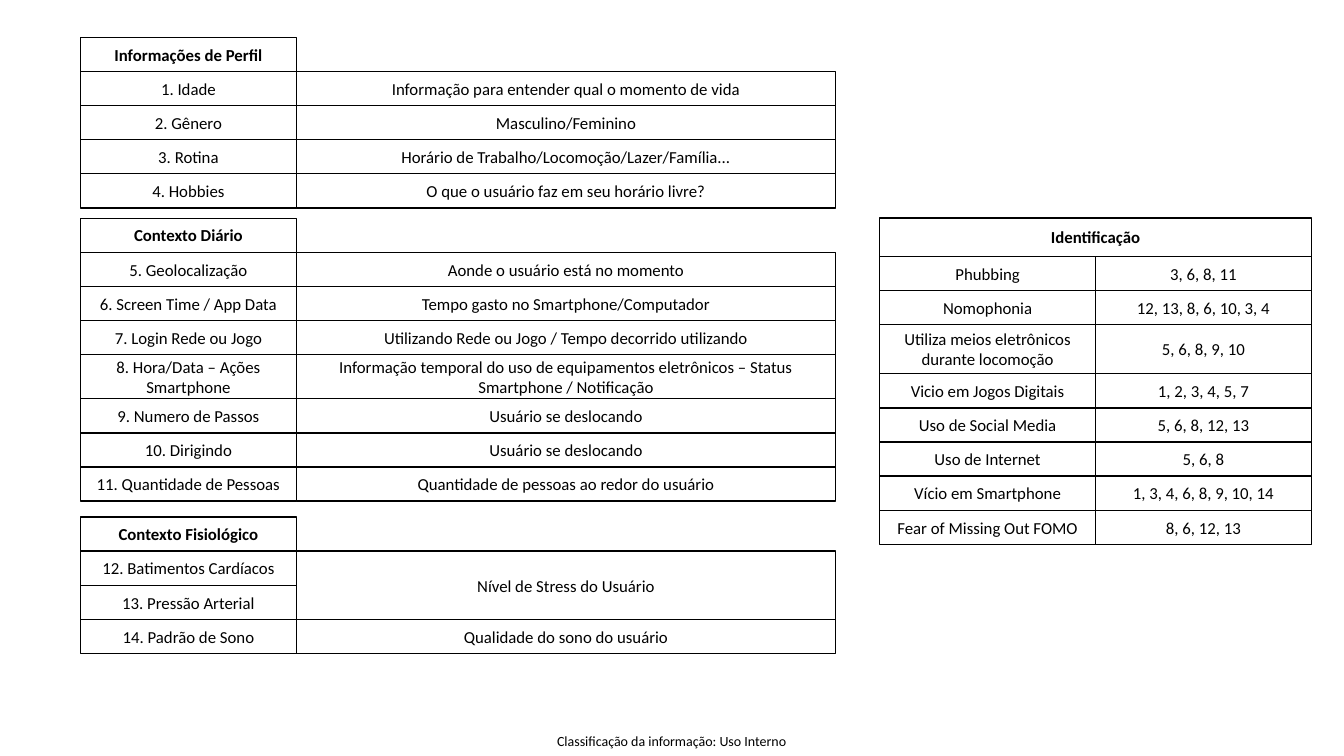
"""Builds the slide that maps user data and contexts to digital habits."""
from dataclasses import dataclass

from pptx import Presentation
from pptx.dml.color import RGBColor
from pptx.enum.shapes import MSO_SHAPE
from pptx.enum.text import MSO_ANCHOR, PP_ALIGN
from pptx.util import Cm, Pt

RECTANGLE = MSO_SHAPE.RECTANGLE
MIDDLE = MSO_ANCHOR.MIDDLE
CENTER = PP_ALIGN.CENTER

COLORS = {"ink": "000000"}
FONT = "Calibri"
ROW_HEIGHT = 0.86
LABEL_WIDTH = 5.44


@dataclass
class Row:
    label: str
    detail: str = ""
    height: float = ROW_HEIGHT
    detail_span: int = 1


@dataclass
class Section:
    title: str
    left: float
    top: float
    rows: list[Row]
    detail_width: float = 13.59
    title_width: float = LABEL_WIDTH
    title_height: float = ROW_HEIGHT


SECTIONS = [
    Section("Informações de Perfil", 2.03, 0.94, [
        Row("1. Idade", "Informação para entender qual o momento de vida"),
        Row("2. Gênero", "Masculino/Feminino"),
        Row("3. Rotina", "Horário de Trabalho/Locomoção/Lazer/Família..."),
        Row("4. Hobbies", "O que o usuário faz em seu horário livre?"),
    ]),
    Section("Contexto Diário", 2.03, 5.5, [
        Row("5. Geolocalização", "Aonde o usuário está no momento"),
        Row("6. Screen Time / App Data", "Tempo gasto no Smartphone/Computador"),
        Row("7. Login Rede ou Jogo", "Utilizando Rede ou Jogo / Tempo decorrido utilizando"),
        Row("8. Hora/Data – Ações Smartphone",
            "Informação temporal do uso de equipamentos eletrônicos – Status "
            "Smartphone / Notificação", 1.11),
        Row("9. Numero de Passos", "Usuário se deslocando"),
        Row("10. Dirigindo", "Usuário se deslocando"),
        Row("11. Quantidade de Pessoas", "Quantidade de pessoas ao redor do usuário"),
    ]),
    Section("Contexto Fisiológico", 2.03, 13.03, [
        Row("12. Batimentos Cardíacos", "Nível de Stress do Usuário", detail_span=2),
        Row("13. Pressão Arterial"),
        Row("14. Padrão de Sono", "Qualidade do sono do usuário"),
    ]),
    Section("Identificação", 22.17, 5.49, [
        Row("Phubbing", "3, 6, 8, 11"),
        Row("Nomophonia", "12, 13, 8, 6, 10, 3, 4"),
        Row("Utiliza meios eletrônicos durante locomoção", "5, 6, 8, 9, 10", 1.24),
        Row("Vicio em Jogos Digitais", "1, 2, 3, 4, 5, 7"),
        Row("Uso de Social Media", "5, 6, 8, 12, 13"),
        Row("Uso de Internet", "5, 6, 8"),
        Row("Vício em Smartphone", "1, 3, 4, 6, 8, 9, 10, 14"),
        Row("Fear of Missing Out FOMO", "8, 6, 12, 13"),
    ], detail_width=LABEL_WIDTH, title_width=2 * LABEL_WIDTH, title_height=0.97),
]


def write_text(frame, text: str, size: float, bold: bool = False) -> None:
    frame.word_wrap = True
    frame.vertical_anchor = MIDDLE
    paragraph = frame.paragraphs[0]
    paragraph.text = text
    paragraph.alignment = CENTER
    paragraph.font.name = FONT
    paragraph.font.size = Pt(size)
    paragraph.font.bold = bold
    paragraph.font.color.rgb = RGBColor.from_string(COLORS["ink"])


def draw_cell(slide, left: float, top: float, width: float, height: float,
              text: str, bold: bool = False) -> None:
    cell = slide.shapes.add_shape(RECTANGLE, Cm(left), Cm(top), Cm(width), Cm(height))
    cell.shadow.inherit = False
    cell.fill.background()
    cell.line.color.rgb = RGBColor.from_string(COLORS["ink"])
    cell.line.width = Pt(1)
    write_text(cell.text_frame, text, 12, bold)


def draw_section(slide, section: Section) -> None:
    draw_cell(slide, section.left, section.top, section.title_width,
              section.title_height, section.title, bold=True)
    top = section.top + section.title_height
    for index, row in enumerate(section.rows):
        draw_cell(slide, section.left, top, LABEL_WIDTH, row.height, row.label)
        if row.detail:
            spanned = section.rows[index:index + row.detail_span]
            draw_cell(slide, section.left + LABEL_WIDTH, top, section.detail_width,
                      sum(part.height for part in spanned), row.detail)
        top += row.height


def draw_classification(slide) -> None:
    classification = slide.shapes.add_textbox(Cm(13.56), Cm(18.31), Cm(6.73), Cm(0.74))
    frame = classification.text_frame
    frame.margin_left = frame.margin_right = frame.margin_top = frame.margin_bottom = 0
    write_text(frame, "Classificação da informação: Uso Interno", 10)


def main() -> None:
    presentation = Presentation()
    presentation.slide_width = Cm(33.87)
    presentation.slide_height = Cm(19.05)
    slide = presentation.slides.add_slide(presentation.slide_layouts[6])
    draw_classification(slide)
    for section in SECTIONS:
        draw_section(slide, section)
    presentation.save("out.pptx")


if __name__ == "__main__":
    main()
